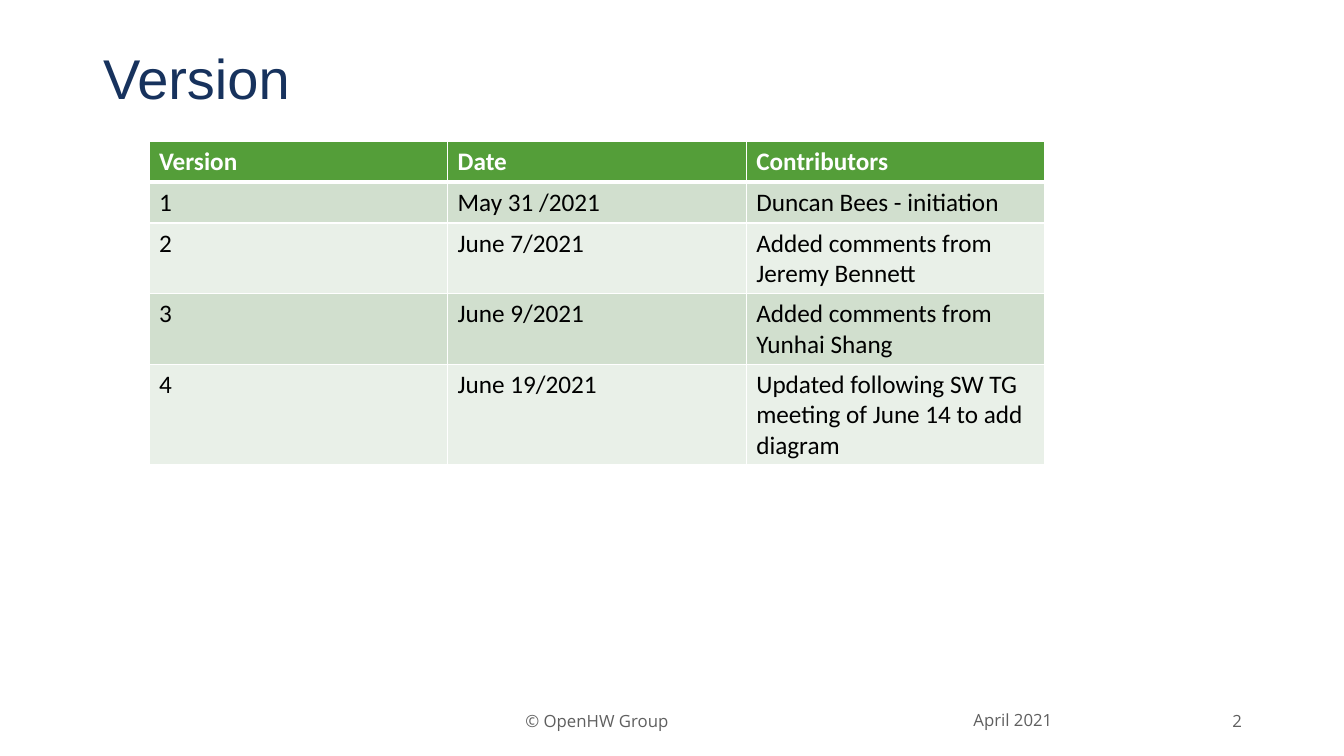
from dataclasses import dataclass

from lxml import etree
from pptx import Presentation, util as u
from pptx.dml.color import RGBColor
from pptx.enum import text
from pptx.oxml import ns

SCALE = 914400 / 100.8
ALIGN = text.PP_ALIGN


@dataclass(frozen=True)
class Theme:
    navy: str = "17325D"
    grey: str = "5F5F5F"
    white: str = "FFFFFF"
    black: str = "000000"
    green: str = "549E39"
    bands: tuple = ("D1DFCE", "E9F0E8")
    head: str = "Arial"
    body: str = "Calibri"
    foot: str = "Open Sans"
    big: int = 40
    mid: int = 18
    small: int = 12


THEME = Theme()
ROWS = [
    ("Version", "Date", "Contributors"),
    ("1", "May 31 /2021", "Duncan Bees - initiation"),
    ("2", "June 7/2021", "Added comments from Jeremy Bennett"),
    ("3", "June 9/2021", "Added comments from Yunhai Shang"),
    ("4", "June 19/2021", "Updated following SW TG meeting of June 14 to add diagram"),
]


def px(n):
    return u.Emu(round(n * SCALE))


def write(frame, words, face, size, color, bold=False, align=ALIGN.LEFT):
    frame.text = words
    frame.word_wrap = True
    para = frame.paragraphs[0]
    para.alignment = align
    font = para.runs[0].font
    font.name, font.size, font.bold = face, u.Pt(size), bold
    font.color.rgb = RGBColor.from_string(color)


def add_title(slide, box, words):
    title = slide.shapes.title
    title.left, title.top, title.width, title.height = map(px, box)
    frame = title.text_frame
    write(frame, words, THEME.head, THEME.big, THEME.navy)
    frame.vertical_anchor = text.MSO_ANCHOR.MIDDLE
    frame.paragraphs[0].line_spacing = 0.9


def add_note(slide, box, words, align):
    frame = slide.shapes.add_textbox(*map(px, box)).text_frame
    write(frame, words, THEME.foot, THEME.small, THEME.grey, align=align)
    frame.vertical_anchor = text.MSO_ANCHOR.MIDDLE


def add_footer(slide, box):
    left, top, width, height = box
    add_note(slide, (left + 528, top - 1, 230, height), "April 2021", ALIGN.CENTER)
    add_note(slide, (left, top, 454, height), "© OpenHW Group", ALIGN.CENTER)
    add_note(slide, (left + width - 53, top, 53, height), "2", ALIGN.RIGHT)


def set_edges(cell, base):
    props = cell._tc.get_or_add_tcPr()
    widths = {"lnL": 1, "lnR": 1, "lnT": 1, "lnB": 1, base: 3} if base else dict.fromkeys(
        ("lnL", "lnR", "lnT", "lnB"), 1)
    for spot, (side, width) in enumerate(widths.items()):
        line = etree.Element(ns.qn("a:" + side), w=str(u.Pt(width)))
        fill = etree.SubElement(line, ns.qn("a:solidFill"))
        etree.SubElement(fill, ns.qn("a:srgbClr"), val=THEME.white)
        props.insert(spot, line)


def add_grid(slide, box, rows):
    left, top, width, height = box
    count = len(rows[0])
    grid = slide.shapes.add_table(len(rows), count, *map(px, box)).table
    for col in grid.columns:
        col.width = px(width / count)
    for r, row in enumerate(rows):
        grid.rows[r].height = px(height / len(rows))
        first = r == 0
        fill = THEME.green if first else THEME.bands[(r - 1) % 2]
        ink = THEME.white if first else THEME.black
        edge = {0: "lnB", 1: "lnT"}.get(r)
        for c, words in enumerate(row):
            cell = grid.cell(r, c)
            write(cell.text_frame, words, THEME.body, THEME.mid, ink, first)
            cell.fill.solid()
            cell.fill.fore_color.rgb = RGBColor.from_string(fill)
            set_edges(cell, edge)


def main():
    deck = Presentation()
    deck.slide_width, deck.slide_height = px(1344), px(756)
    slide = deck.slides.add_slide(deck.slide_layouts[5])
    add_title(slide, (93, 40, 1120, 82), "Version")
    add_footer(slide, (370, 701, 882, 40))
    add_grid(slide, (149, 141, 896, 205), ROWS)
    deck.save("out.pptx")


if __name__ == "__main__":
    main()
